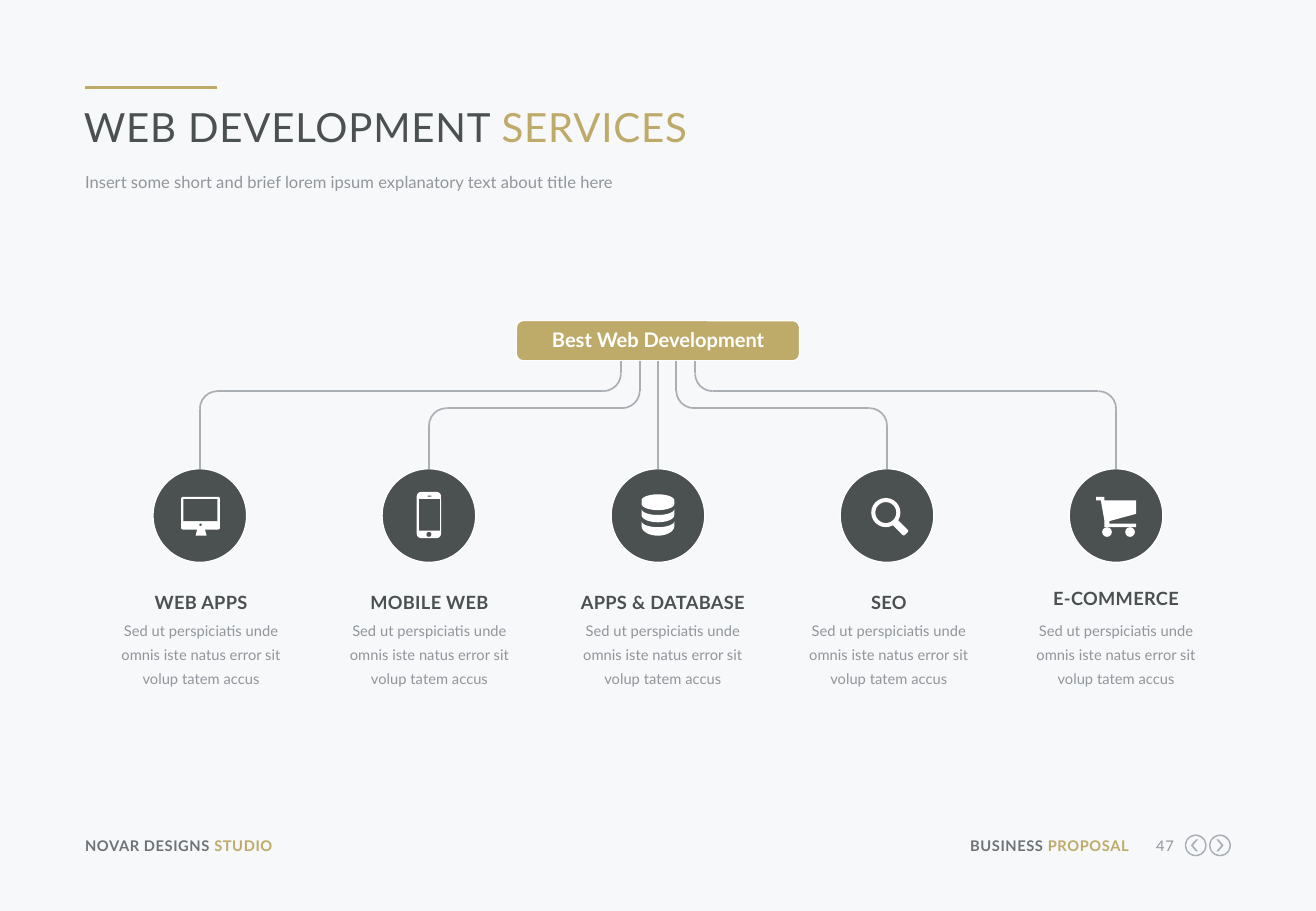
"""Build the web development services slide: one root box branching to five services."""
import math
from dataclasses import dataclass

import pptx
import pptx.dml.color
import pptx.enum.dml
import pptx.enum.shapes
import pptx.enum.text
import pptx.oxml.ns
import pptx.util
from lxml import etree

Inches = pptx.util.Inches
Pt = pptx.util.Pt
Kind = pptx.enum.shapes.MSO_SHAPE
Align = pptx.enum.text.PP_ALIGN
Rgb = pptx.dml.color.RGBColor.from_string


@dataclass(frozen=True)
class Theme:
    font: str = "Lato"
    background: str = "F6F8FA"
    gold: str = "BEAA69"
    slate: str = "4B5050"
    footer: str = "6E7378"
    grey: str = "91969B"
    line: str = "AAAFB4"
    white: str = "FFFFFF"
    title_size: float = 23.8
    subtitle_size: float = 9.8
    root_size: float = 11.9
    heading_size: float = 10.8
    small_size: float = 8.7


theme = Theme()
presentation = pptx.Presentation()
presentation.slide_width = Inches(10.83)
presentation.slide_height = Inches(7.5)
slide = presentation.slides.add_slide(presentation.slide_layouts[6])
slide.background.fill.solid()
slide.background.fill.fore_color.rgb = Rgb(theme.background)


def draw(kind, box, fill=None, outline=None, weight=0.75, adjustment=None, rotation=0):
    shape = slide.shapes.add_shape(kind, *map(Inches, box))
    shape.shadow.inherit = False
    shape.rotation = rotation
    if adjustment is not None:
        shape.adjustments[0] = adjustment
    if fill:
        shape.fill.solid()
        shape.fill.fore_color.rgb = Rgb(fill)
    else:
        shape.fill.background()
    if outline:
        shape.line.color.rgb = Rgb(outline)
        shape.line.width = Pt(weight)
    else:
        shape.line.fill.background()
    return shape


def write(box, runs, size, align=Align.LEFT, bold=False, tracking=0, spacing=None):
    frame = slide.shapes.add_textbox(*map(Inches, box)).text_frame
    frame.margin_left = frame.margin_right = frame.margin_top = frame.margin_bottom = 0
    frame.word_wrap = True
    paragraph = frame.paragraphs[0]
    paragraph.alignment = align
    if spacing:
        paragraph.line_spacing = Pt(spacing)
    for text, color in runs:
        run = paragraph.add_run()
        run.text = text
        run.font.name = theme.font
        run.font.size = Pt(size)
        run.font.bold = bold
        run.font.color.rgb = Rgb(color)
        if tracking:
            run.font._element.set("spc", str(tracking))


write((0.69, 0.84, 9.42, 0.41), [("WEB DEVELOPMENT ", theme.slate), ("SERVICES", theme.gold)],
      theme.title_size, tracking=50)
write((0.7, 1.4, 9.42, 0.21),
      [("Insert some short and brief lorem ipsum explanatory text about title here", theme.grey)],
      theme.subtitle_size, spacing=13)

center, pitch, diameter = 5.415, 1.885, 0.77
root_bottom, circle_top = 2.97, 3.86
root = draw(Kind.ROUNDED_RECTANGLE, (4.25, 2.64, 2.33, 0.33), theme.gold, theme.white)
write((4.37, 2.7, 2.09, 0.2), [("Best Web Development", theme.white)],
      theme.root_size, Align.CENTER, bold=True)

services = [
    ("WEB APPS", 0.87, 4.84),
    ("MOBILE WEB", 2.75, 4.84),
    ("APPS & DATABASE", 4.67, 4.84),
    ("SEO", 6.53, 4.84),
    ("E-COMMERCE", 8.4, 4.8),
]
description = "Sed ut perspiciatis unde omnis iste natus error sit volup tatem accus"
circles = []
for index, (heading, left, top) in enumerate(services):
    circle_left = center + (index - 2) * pitch - diameter / 2
    circles.append(draw(Kind.OVAL, (circle_left, circle_top, diameter, diameter),
                        theme.slate, theme.white))
    write((left, top, 1.57, 0.21), [(heading, theme.slate)], theme.heading_size,
          Align.CENTER, bold=True, tracking=20, spacing=15.2)
    write((left, 5.07, 1.57, 0.59), [(description, theme.grey)], theme.small_size,
          Align.CENTER, spacing=14.1)

bend = 0.29
radius = bend / 2
lines = [
    ((0.7, 0.72), (1.79, 0.72), theme.gold, 2.25, None, None),
    ((center, root_bottom), (center, circle_top), theme.line, 1, root, circles[2]),
]
for index, stem_offset, rail in [(0, -0.305, 3.22), (1, -0.15, 3.36),
                                 (3, 0.15, 3.36), (4, 0.305, 3.22)]:
    side = 1 if index > 2 else -1
    stem = center + stem_offset
    leaf = center + (index - 2) * pitch
    lines += [
        ((stem, root_bottom), (stem, rail - radius), theme.line, 1, None, None),
        ((stem + side * radius, rail), (leaf - side * radius, rail), theme.line, 1, None, None),
        ((leaf, rail + radius), (leaf, circle_top), theme.line, 1, None, circles[index]),
    ]
    stem_left, leaf_left = (stem, leaf - bend) if side > 0 else (stem - bend, leaf)
    draw(Kind.ARC, (stem_left, rail - bend, bend, bend), None, theme.line, 1,
         rotation=180 if side > 0 else 90)
    draw(Kind.ARC, (leaf_left, rail, bend, bend), None, theme.line, 1,
         rotation=0 if side > 0 else 270)

for start, end, color, weight, source, target in lines:
    connector = slide.shapes.add_connector(pptx.enum.shapes.MSO_CONNECTOR.STRAIGHT,
                                           *map(Inches, start + end))
    connector.line.color.rgb = Rgb(color)
    connector.line.width = Pt(weight)
    etree.SubElement(connector._element.spPr, pptx.oxml.ns.qn("a:effectLst"))
    if source:
        connector.begin_connect(source, 2)
    if target:
        connector.end_connect(target, 0)

icon_parts = [
    (Kind.ROUNDED_RECTANGLE, (1.49, 4.09, 0.32, 0.27), theme.white, 0.06, 0),
    (Kind.RECTANGLE, (1.51, 4.11, 0.28, 0.18), theme.slate, None, 0),
    (Kind.OVAL, (1.64, 4.31, 0.02, 0.02), theme.slate, None, 0),
    (Kind.TRAPEZOID, (1.61, 4.35, 0.09, 0.06), theme.white, 0.25, 0),
    (Kind.ROUNDED_RECTANGLE, (3.43, 4.05, 0.2, 0.38), theme.white, 0.17, 0),
    (Kind.RECTANGLE, (3.45, 4.11, 0.17, 0.26), theme.slate, None, 0),
    (Kind.OVAL, (3.51, 4.38, 0.04, 0.04), theme.slate, None, 0),
    (Kind.RECTANGLE, (3.52, 4.08, 0.03, 0.01), theme.slate, None, 0),
    (Kind.DONUT, (7.17, 4.1, 0.24, 0.24), theme.white, 0.14, 0),
    (Kind.ROUNDED_RECTANGLE, (7.33, 4.31, 0.15, 0.06), theme.white, 0.25, 45),
    (Kind.OVAL, (9.07, 4.34, 0.08, 0.08), theme.white, None, 0),
    (Kind.OVAL, (9.26, 4.34, 0.08, 0.08), theme.white, None, 0),
    (Kind.DONUT, (9.75, 6.87, 0.18, 0.18), theme.line, 0.06, 0),
    (Kind.CHEVRON, (9.8, 6.91, 0.06, 0.1), theme.line, 0.7, 180),
    (Kind.DONUT, (9.95, 6.87, 0.18, 0.18), theme.line, 0.06, 0),
    (Kind.CHEVRON, (10.01, 6.91, 0.06, 0.1), theme.line, 0.7, 0),
]
for kind, box, color, adjustment, rotation in icon_parts:
    draw(kind, box, color, adjustment=adjustment, rotation=rotation)

cart = [(9.02, 4.09), (9.09, 4.09), (9.09, 4.12), (9.35, 4.12), (9.35, 4.23), (9.13, 4.29),
        (9.13, 4.31), (9.35, 4.31), (9.35, 4.34), (9.09, 4.34), (9.09, 4.29), (9.06, 4.12),
        (9.02, 4.12)]
outlines = [cart]
angles = [math.radians(degree) for degree in range(0, 181, 10)]
for upper, upper_depth, lower, lower_depth in [(4.12, -0.05, 4.15, 0.05),
                                               (4.19, 0.05, 4.24, 0.06),
                                               (4.29, 0.05, 4.33, 0.08)]:
    outlines.append(
        [(center + 0.135 * math.cos(a), upper + upper_depth * math.sin(a)) for a in angles]
        + [(center - 0.135 * math.cos(a), lower + lower_depth * math.sin(a)) for a in angles])
for outline in outlines:
    points = [(Inches(x), Inches(y)) for x, y in outline]
    builder = slide.shapes.build_freeform(*points[0])
    builder.add_line_segments(points[1:], close=True)
    shape = builder.convert_to_shape()
    shape.shadow.inherit = False
    shape.fill.solid()
    shape.fill.fore_color.rgb = Rgb(theme.white)
    shape.line.fill.background()

write((0.7, 6.89, 2.11, 0.15), [("NOVAR DESIGNS ", theme.footer), ("STUDIO", theme.gold)],
      theme.small_size, bold=True, tracking=30)
write((7.92, 6.89, 1.37, 0.15), [("BUSINESS ", theme.footer), ("PROPOSAL", theme.gold)],
      theme.small_size, Align.RIGHT, bold=True, tracking=30)
write((9.41, 6.89, 0.25, 0.15), [("47", theme.grey)], theme.small_size, Align.RIGHT, tracking=30)

presentation.save("out.pptx")
